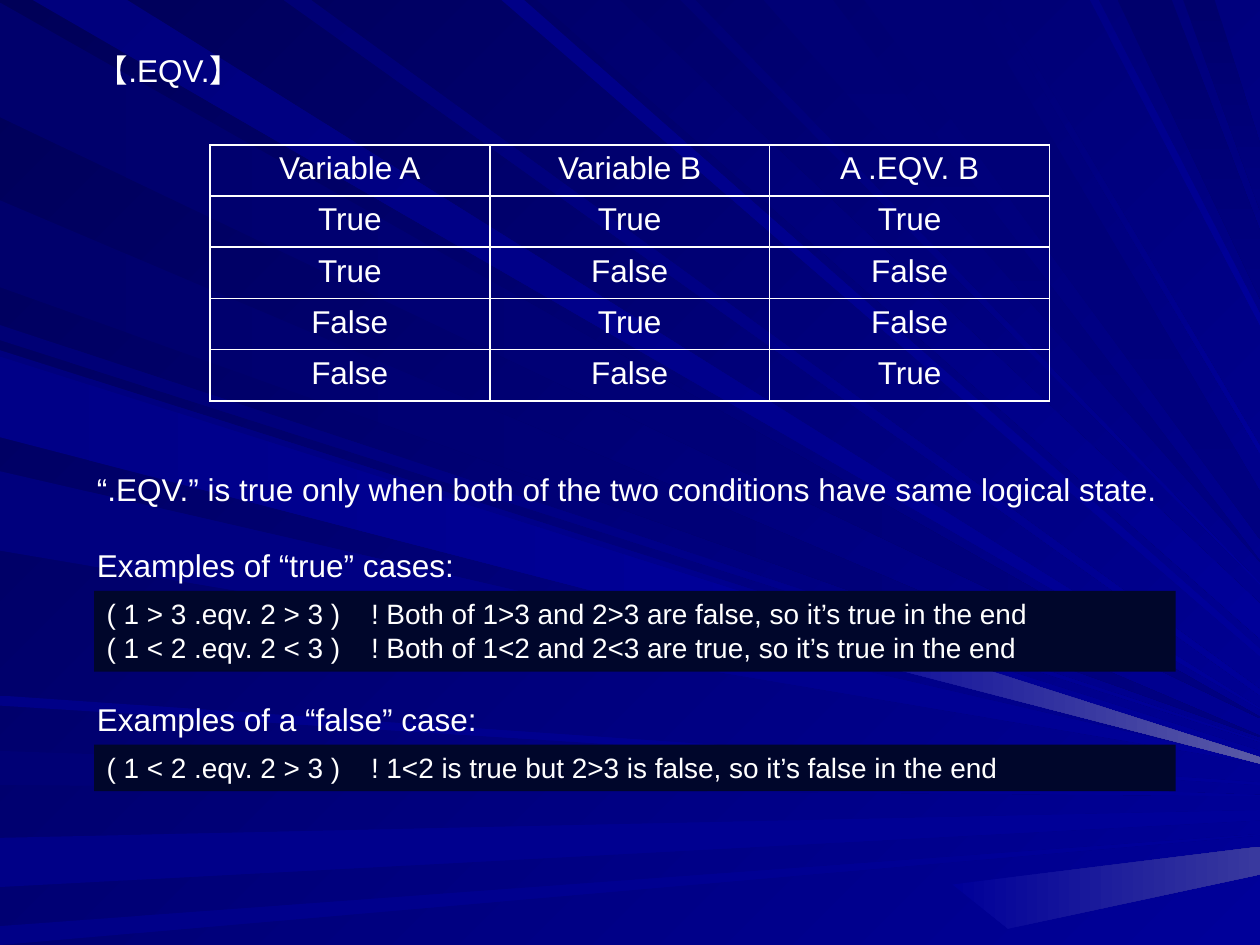
from lxml import etree
from pptx import Presentation
from pptx.dml.color import RGBColor
from pptx.enum.shapes import MSO_SHAPE
from pptx.enum.text import MSO_ANCHOR, MSO_AUTO_SIZE, PP_ALIGN
from pptx.oxml.ns import qn
from pptx.util import Cm, Pt

RECTANGLE = MSO_SHAPE.RECTANGLE
TOP = MSO_ANCHOR.TOP
NO_AUTOFIT = MSO_AUTO_SIZE.NONE
LEFT, CENTER = PP_ALIGN.LEFT, PP_ALIGN.CENTER

FONT = "Arial"
WHITE = RGBColor.from_string("FFFFFF")
CODE_FILL = RGBColor.from_string("00062B")
BACKGROUND_DARK = RGBColor.from_string("000058")
DARK = RGBColor.from_string("00006C")
DEEP = RGBColor.from_string("000075")
MEDIUM = RGBColor.from_string("00007D")
SOFT = RGBColor.from_string("000087")
MID_BLUE = RGBColor.from_string("000080")
BLUE = RGBColor.from_string("000099")
PALE_BLUE = RGBColor.from_string("39399E")
PALEST_BLUE = RGBColor.from_string("5A5AA6")

TITLE = "【.EQV.】"
STATEMENTS = [
    ("“.EQV.” is true only when both of the two conditions have same logical state.", 0),
    ("Examples of “true” cases:", 22),
    ("Examples of a “false” case:", 66),
]
TRUTH_TABLE = [
    ("Variable A", "Variable B", "A .EQV. B"),
    ("True", "True", "True"),
    ("True", "False", "False"),
    ("False", "True", "False"),
    ("False", "False", "True"),
]
CODE_BLOCKS = [
    (11.91, 1.63, [
        ("( 1 > 3 .eqv. 2 > 3 )", "! Both of 1>3 and 2>3 are false, so it’s true in the end"),
        ("( 1 < 2 .eqv. 2 < 3 )", "! Both of 1<2 and 2<3 are true, so it’s true in the end"),
    ]),
    (15.01, 0.94, [
        ("( 1 < 2 .eqv. 2 > 3 )", "! 1<2 is true but 2>3 is false, so it’s false in the end"),
    ]),
]

RAY_UNIT = Cm(0.0254)
RIGHT_EDGE = 1000
LEFT_RAYS = [
    (2, 93, 569, 570, DARK, MID_BLUE),
    (596, 623, 631, 632, DEEP, BLUE),
    (665, 704, 643, 651, SOFT, BLUE),
    (735, 750, 662, 663, SOFT, BLUE),
    (258, 270, 588, 589, DEEP, BLUE),
    (159, 228, 584, 585, DARK, MID_BLUE),
    (278, 342, 596, 602, MEDIUM, BLUE),
    (374, 437, 605, 606, MEDIUM, BLUE),
    (552, 560, 621, 623, SOFT, BLUE),
]
TOP_RAYS = [
    (26, 101, 563, 562, MEDIUM, BLUE),
    (398, 416, 521, 515, SOFT, BLUE),
    (426, 492, 507, 479, DARK, BLUE),
    (540, 552, 464, 463, DEEP, BLUE),
    (606, 661, 446, 445, DEEP, MID_BLUE),
    (887, 930, 237, 183, DARK, MID_BLUE),
    (939, 964, 167, 114, DARK, MID_BLUE),
    (225, 247, 552, 547, DEEP, BLUE),
    (686, 770, 428, 390, DEEP, MID_BLUE),
    (785, 792, 360, 354, DEEP, BLUE),
    (865, 872, 258, 249, SOFT, BLUE),
]
BRIGHT_RAYS = [
    ([(0, 283), (0, 347), (633, 511), (637, 485)], SOFT, BLUE),
    ([(637, 485), (633, 511), (1000, 606), (1000, 601)], BLUE, PALEST_BLUE),
    ([(756, 702), (800, 737), (1000, 694), (1000, 672)], BLUE, PALE_BLUE),
]


def paint(fill, start, end, clockwise_angle):
    fill.gradient()
    fill.gradient_angle = -clockwise_angle % 360
    for stop, color, position in zip(fill.gradient_stops, (start, end), (0, 1)):
        stop.color.rgb = color
        stop.position = position


def format_paragraph(paragraph, size, alignment=LEFT, space_before=0):
    paragraph.alignment = alignment
    paragraph.space_before = Pt(space_before)
    for run in paragraph.runs:
        run.font.name = FONT
        run.font.size = Pt(size)
        run.font.color.rgb = WHITE


def place(shape, left, top, width, height):
    shape.left, shape.top = Cm(left), Cm(top)
    shape.width, shape.height = Cm(width), Cm(height)
    shape.text_frame.word_wrap = True
    shape.text_frame.auto_size = NO_AUTOFIT
    shape.text_frame.vertical_anchor = TOP


def remove_bullet(paragraph):
    properties = paragraph._p.get_or_add_pPr()
    properties.set("marL", "0")
    properties.set("indent", "0")
    etree.SubElement(properties, qn("a:buNone"))


def add_tab_stop(paragraph, position):
    tabs = etree.SubElement(paragraph._p.get_or_add_pPr(), qn("a:tabLst"))
    etree.SubElement(tabs, qn("a:tab"), pos=str(position), algn="l")


def add_borders(cell):
    properties = cell._tc.get_or_add_tcPr()
    for side in ("lnL", "lnR", "lnT", "lnB"):
        line = etree.SubElement(properties, qn(f"a:{side}"), w=str(Pt(1)))
        solid = etree.SubElement(line, qn("a:solidFill"))
        etree.SubElement(solid, qn("a:srgbClr"), val=str(WHITE))


def add_ray(group, points, start, end, angle):
    builder = group.shapes.build_freeform(*points[0], scale=RAY_UNIT)
    builder.add_line_segments(points[1:], close=True)
    ray = builder.convert_to_shape()
    ray.shadow.inherit = False
    ray.line.fill.background()
    paint(ray.fill, start, end, angle)


def add_rays(slide):
    group = slide.shapes.add_group_shape()
    for upper, lower, end_upper, end_lower, start, end in LEFT_RAYS:
        points = [(0, upper), (0, lower), (RIGHT_EDGE, end_lower), (RIGHT_EDGE, end_upper)]
        add_ray(group, points, start, end, 0)
    for near, far, end_near, end_far, start, end in TOP_RAYS:
        points = [(near, 0), (far, 0), (RIGHT_EDGE, end_far), (RIGHT_EDGE, end_near)]
        add_ray(group, points, start, end, 90 if end == MID_BLUE else 45)
    for points, start, end in BRIGHT_RAYS:
        add_ray(group, points, start, end, 0)
    group.element.getparent().insert(2, group.element)


def add_truth_table(slide):
    table = slide.shapes.add_table(
        len(TRUTH_TABLE), len(TRUTH_TABLE[0]), Cm(4.23), Cm(2.92), Cm(16.93), Cm(5.16)
    ).table
    table.first_row = False
    table.horz_banding = False
    for row, values in enumerate(TRUTH_TABLE):
        for column, value in enumerate(values):
            cell = table.cell(row, column)
            cell.text = value
            format_paragraph(cell.text_frame.paragraphs[0], 18, CENTER)
            add_borders(cell)
            cell.fill.background()


def add_code_block(slide, top, height, lines):
    box = slide.shapes.add_shape(RECTANGLE, 0, 0, 0, 0)
    place(box, 1.9, top, 21.8, height)
    box.shadow.inherit = False
    box.fill.solid()
    box.fill.fore_color.rgb = CODE_FILL
    box.line.fill.background()
    box.text_frame.text = "\n".join("\t".join(line) for line in lines)
    for paragraph in box.text_frame.paragraphs:
        format_paragraph(paragraph, 16)
        add_tab_stop(paragraph, Cm(5.33))


def main():
    presentation = Presentation()
    presentation.slide_width, presentation.slide_height = Cm(25.4), Cm(19.05)
    slide = presentation.slides.add_slide(presentation.slide_layouts[1])
    paint(slide.background.fill, BACKGROUND_DARK, BLUE, 45)
    add_rays(slide)

    title, body = slide.placeholders
    place(title, 1.7, 0.91, 22.86, 1.2)
    title.text_frame.text = TITLE
    format_paragraph(title.text_frame.paragraphs[0], 18)

    place(body, 1.7, 9.35, 22.86, 5.6)
    body.text_frame.text = "\n".join(text for text, gap in STATEMENTS)
    for paragraph, (text, gap) in zip(body.text_frame.paragraphs, STATEMENTS):
        format_paragraph(paragraph, 18, space_before=gap)
        remove_bullet(paragraph)

    add_truth_table(slide)
    for top, height, lines in CODE_BLOCKS:
        add_code_block(slide, top, height, lines)
    presentation.save("out.pptx")


if __name__ == "__main__":
    main()
